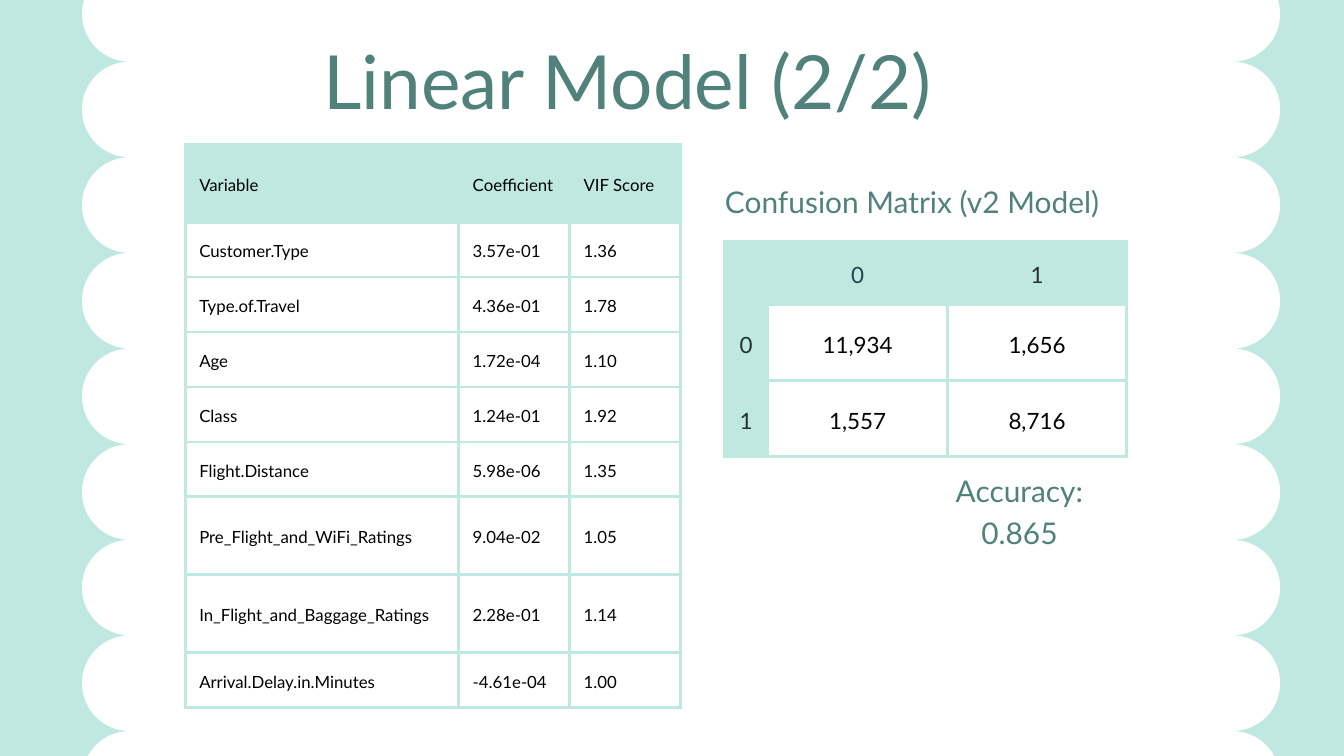
from lxml.etree import SubElement
from pptx import Presentation
from pptx.dml.color import RGBColor
from pptx.enum.text import MSO_ANCHOR, MSO_AUTO_SIZE, PP_ALIGN
from pptx.oxml.ns import qn
from pptx.util import Pt

MINT, TEAL, INK, BLACK, WHITE = "BFE9E0", "51817B", "213138", "000000", "FFFFFF"

SCORES = [
    ("Variable", "Coefficient", "VIF Score"),
    ("Customer.Type", "3.57e-01", "1.36"),
    ("Type.of.Travel", "4.36e-01", "1.78"),
    ("Age", "1.72e-04", "1.10"),
    ("Class", "1.24e-01", "1.92"),
    ("Flight.Distance", "5.98e-06", "1.35"),
    ("Pre_Flight_and_WiFi_Ratings", "9.04e-02", "1.05"),
    ("In_Flight_and_Baggage_Ratings", "2.28e-01", "1.14"),
    ("Arrival.Delay.in.Minutes", "-4.61e-04", "1.00"),
]
MATRIX = [("", "0", "1"), ("0", "11,934", "1,656"), ("1", "1,557", "8,716")]


def paint(fill, color):
    fill.solid()
    fill.fore_color.rgb = RGBColor.from_string(color)


def write(frame, text, size=32, color=TEAL, align=PP_ALIGN.CENTER, inset=0):
    """Put one formatted line of text in a frame; lines are 1.4 times the size."""
    frame.word_wrap = True
    frame.margin_left = frame.margin_right = Pt(inset)
    frame.margin_top = frame.margin_bottom = Pt(inset)
    para = frame.paragraphs[0]
    para.alignment = align
    para.line_spacing = Pt(size * 1.4)
    run = para.add_run()
    run.text = text
    run.font.size = Pt(size)
    run.font.name = "Lato"
    run.font.color.rgb = RGBColor.from_string(color)


def label(slide, text, x, y, w, h):
    box = slide.shapes.add_textbox(Pt(x), Pt(y), Pt(w), Pt(h))
    write(box.text_frame, text)


def head(slide, text, x, y, w, h):
    title = slide.shapes.title
    title.left, title.top, title.width, title.height = Pt(x), Pt(y), Pt(w), Pt(h)
    title.text_frame.auto_size = MSO_AUTO_SIZE.NONE
    title.text_frame.vertical_anchor = MSO_ANCHOR.TOP
    write(title.text_frame, text, size=80)


def bend(line, start, cusp):
    """Turn a straight path step into a quarter circle."""
    pt = line.find(qn("a:pt"))
    (ax, ay), (bx, by) = start, (int(pt.get("x")), int(pt.get("y")))
    k = 0.5523
    if cusp:
        grips = (ax, ay + k * (by - ay)), (bx + k * (ax - bx), by)
    else:
        grips = (ax + k * (bx - ax), ay), (bx, by + k * (ay - by))
    line.tag = qn("a:cubicBezTo")
    for i, (x, y) in enumerate(grips):
        grip = SubElement(line, qn("a:pt"), x=str(round(x)), y=str(round(y)))
        line.insert(i, grip)


def panel(slide, x, y, w, h, count):
    """White panel, scalloped above and below, turned a quarter, at the back."""
    rad = w / count / 2
    size = 2 * count + 1
    xs = [x + rad * i for i in range(size)]
    tops = [y + rad * (i % 2 == 0) for i in range(size)]
    lows = [y + h - rad * (i % 2 == 0) for i in range(size)]
    dots = [(Pt(a), Pt(b)) for a, b in
            list(zip(xs, tops)) + list(zip(reversed(xs), lows))]
    build = slide.shapes.build_freeform(*dots[0], scale=1.0)
    build.add_line_segments(dots[1:], close=True)
    shape = build.convert_to_shape()
    lines = list(shape._element.iter(qn("a:lnTo")))
    for i, line in enumerate(lines):
        place = i % size
        if place < size - 1:
            start = dots[i][0] - shape.left, dots[i][1] - shape.top
            bend(line, start, cusp=place % 2 == 0)
    shape.rotation = 90
    shape.shadow.inherit = False
    paint(shape.fill, WHITE)
    shape.line.fill.background()
    slide.shapes._spTree.insert(2, shape._element)


def edge(cell, color, width=3):
    props = cell._tc.get_or_add_tcPr()
    for i, name in enumerate(("a:lnL", "a:lnR", "a:lnT", "a:lnB")):
        line = SubElement(props, qn(name), w=str(Pt(width)))
        fill = SubElement(line, qn("a:solidFill"))
        SubElement(fill, qn("a:srgbClr"), val=color)
        props.insert(i, line)


def grid(slide, data, x, y, cols, rows, size, align, side=False, tint=BLACK):
    """Table with a mint header row and, if side is set, a mint first column."""
    frame = slide.shapes.add_table(len(rows), len(cols), Pt(x), Pt(y),
                                   Pt(sum(cols)), Pt(sum(rows)))
    table = frame.table
    table.first_row = table.horz_banding = False
    for col, width in zip(table.columns, cols):
        col.width = Pt(width)
    for r, (row, height) in enumerate(zip(data, rows)):
        table.rows[r].height = Pt(height)
        for c, text in enumerate(row):
            cell = table.cell(r, c)
            top = r == 0 or (side and c == 0)
            if top:
                paint(cell.fill, MINT)
            else:
                cell.fill.background()
            edge(cell, MINT)
            cell.vertical_anchor = MSO_ANCHOR.MIDDLE
            if text:
                write(cell.text_frame, text, size=size, align=align, inset=15,
                      color=tint if top else BLACK)
            # Cell insets belong to the cell, not to its text body
            cell.margin_left = cell.margin_right = Pt(15)
            cell.margin_top = cell.margin_bottom = Pt(15)
    return table


def main():
    deck = Presentation()
    deck.slide_width, deck.slide_height = Pt(1440), Pt(810)
    slide = deck.slides.add_slide(deck.slide_layouts[5])

    # Backdrop
    paint(slide.background.fill, MINT)
    panel(slide, -90, -268.4, 1639.4, 1283.7, count=16)

    # Title
    head(slide, "Linear Model (2/2)", 252.7, 20.9, 839.5, 108)

    # Coefficients
    tall, low = 83.5, 58.8
    grid(slide, SCORES, 198.5, 154.7, [293, 118.8, 118.8],
         [tall] + [low] * 5 + [tall] * 2 + [low], 18, PP_ALIGN.JUSTIFY)

    # Confusion matrix
    label(slide, "Confusion Matrix (v2 Model)", 775.4, 190, 404, 42.5)
    table = grid(slide, MATRIX, 775.8, 258, [47, 192.2, 192.2],
                 [68.4, 81.4, 81.4], 24, PP_ALIGN.CENTER, side=True, tint=INK)
    zero = table.cell(0, 1).text_frame.paragraphs[0].runs[0]
    zero.font.color.rgb = RGBColor.from_string("26424D")
    label(slide, "Accuracy: 0.865", 982.3, 499.7, 220, 42.5)

    deck.save("out.pptx")


if __name__ == "__main__":
    main()
